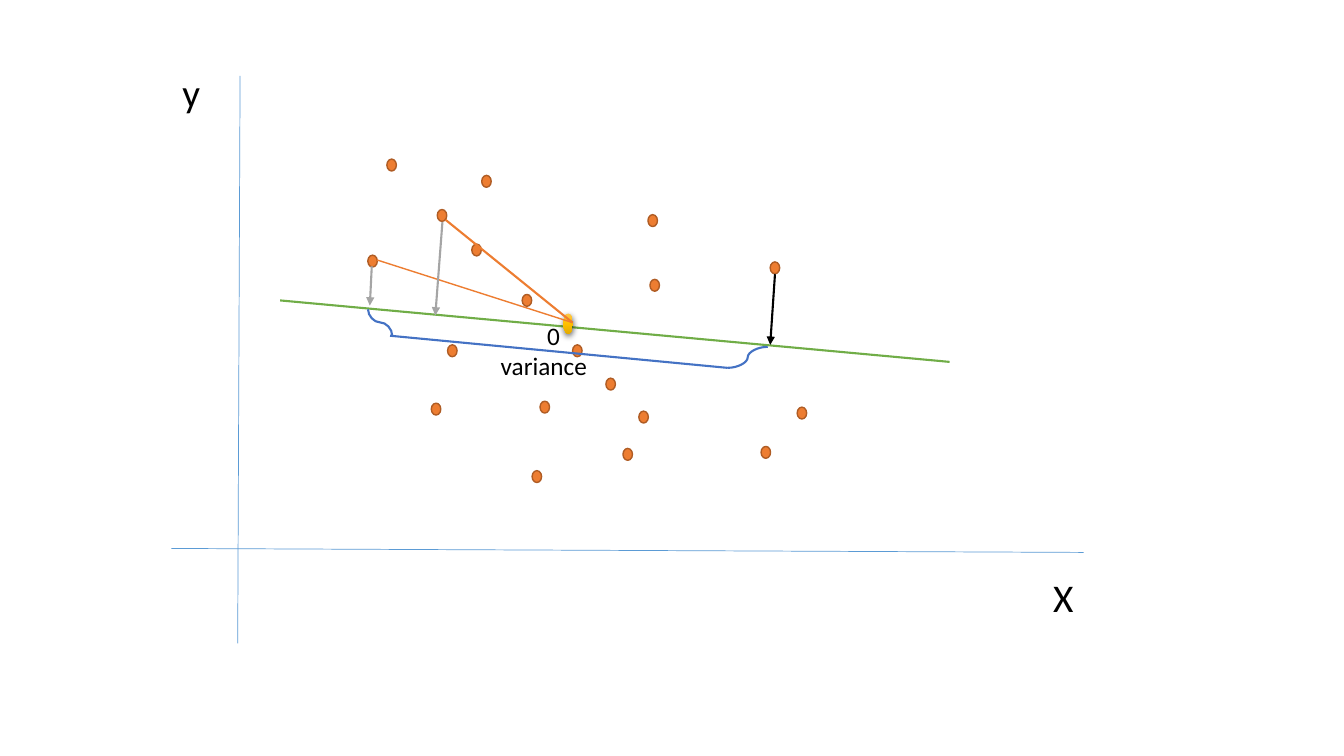
import lxml.etree
import pptx
import pptx.dml.color
import pptx.enum.shapes
import pptx.enum.text
import pptx.oxml
import pptx.oxml.ns
import pptx.util

Cm = pptx.util.Cm
Pt = pptx.util.Pt
RGBColor = pptx.dml.color.RGBColor
MSO_CONNECTOR = pptx.enum.shapes.MSO_CONNECTOR
MSO_SHAPE = pptx.enum.shapes.MSO_SHAPE
qn = pptx.oxml.ns.qn

COLORS = {
    "text": "000000",
    "axis": "5B9BD5",
    "point": "ED7D31",
    "point edge": "AF5C24",
    "component": "70AD47",
    "projection": "A5A5A5",
    "brace": "4472C4",
}
DRAWING_NS = pptx.oxml.ns.nsdecls("a")

presentation = pptx.Presentation()
presentation.slide_width = Cm(33.87)
presentation.slide_height = Cm(19.05)
slide = presentation.slides.add_slide(presentation.slide_layouts[6])


def add_line(start, end, color, width, arrow=False, kind=MSO_CONNECTOR.STRAIGHT):
    connector = slide.shapes.add_connector(
        kind, Cm(start[0]), Cm(start[1]), Cm(end[0]), Cm(end[1]))
    connector.line.color.rgb = RGBColor.from_string(COLORS[color])
    connector.line.width = Pt(width)
    properties = connector._element.spPr
    if arrow:
        tail = lxml.etree.SubElement(properties.find(qn("a:ln")), qn("a:tailEnd"))
        tail.set("type", "triangle")
    lxml.etree.SubElement(properties, qn("a:effectLst"))
    return connector


def add_label(text, left, top, width, height, size):
    box = slide.shapes.add_textbox(Cm(left), Cm(top), Cm(width), Cm(height))
    frame = box.text_frame
    frame.text = text
    frame.word_wrap = False
    frame.auto_size = pptx.enum.text.MSO_AUTO_SIZE.SHAPE_TO_FIT_TEXT
    font = frame.paragraphs[0].runs[0].font
    font.name = "Calibri"
    font.size = Pt(size)
    font.color.rgb = RGBColor.from_string(COLORS["text"])


# Axes
add_label("y", 4.35, 1.6, 1.0, 1.45, 28)
add_line((6.05, 1.91), (5.99, 16.21), "axis", 0.5)
add_line((4.32, 13.82), (27.31, 13.92), "axis", 0.5)

# Data points
points = [
    (9.75, 4.01), (9.27, 6.43), (12.14, 4.42), (11.02, 5.28), (11.28, 8.69),
    (11.89, 6.15), (13.61, 10.11), (16.33, 5.41), (13.16, 7.42), (10.87, 10.16),
    (19.41, 6.6), (14.43, 8.69), (16.38, 7.04), (15.27, 9.53), (15.7, 11.3),
    (16.1, 10.36), (20.09, 10.26), (13.41, 11.86), (19.18, 11.25),
]
for left, top in points:
    point = slide.shapes.add_shape(
        MSO_SHAPE.OVAL, Cm(left), Cm(top), Cm(0.24), Cm(0.3))
    point.shadow.inherit = False
    point.fill.solid()
    point.fill.fore_color.rgb = RGBColor.from_string(COLORS["point"])
    point.line.color.rgb = RGBColor.from_string(COLORS["point edge"])
    point.line.width = Pt(1)

# Component line and x label
add_line((7.06, 7.57), (23.93, 9.12), "component", 1.5)
add_label("X", 26.29, 14.33, 1.04, 1.45, 28)

# Origin with gradient and soft shadow
origin = slide.shapes.add_shape(
    MSO_SHAPE.OVAL, Cm(14.2), Cm(7.9), Cm(0.24), Cm(0.51))
origin.line.fill.background()
stops = "".join(
    f'<a:gs pos="{position}"><a:srgbClr val="{color}"/></a:gs>'
    for position, color in [(0, "FFC64B"), (50000, "FFC000"), (100000, "E3AB00")])
origin_properties = origin._element.spPr
origin_properties.find(qn("a:prstGeom")).addnext(pptx.oxml.parse_xml(
    f'<a:gradFill {DRAWING_NS} rotWithShape="1"><a:gsLst>{stops}</a:gsLst>'
    '<a:lin ang="5400000" scaled="0"/></a:gradFill>'))
origin_properties.append(pptx.oxml.parse_xml(
    f'<a:effectLst {DRAWING_NS}><a:outerShdw blurRad="57150" dist="19050" '
    'dir="5400000" algn="ctr" rotWithShape="0"><a:srgbClr val="000000">'
    '<a:alpha val="63000"/></a:srgbClr></a:outerShdw></a:effectLst>'))
add_label("0", 13.54, 7.95, 0.84, 1.02, 18)

# Distances from points to the origin
add_line((11.23, 5.54), (14.43, 8.13), "point", 1.5)
add_line((9.5, 6.55), (14.43, 8.13), "point", 1)

# Projections onto the component line
add_line((9.37, 6.71), (9.32, 7.7), "projection", 1.5, arrow=True)
add_line((11.15, 5.59), (10.97, 7.95), "projection", 1.5, arrow=True)
add_line((19.53, 6.91), (19.41, 8.69), "text", 1.5, arrow=True)

# Variance brace: its left curve is turned to leave the line vertically
left_curve = add_line((9.91, 7.82), (9.25, 8.43), "brace", 1.5,
                      kind=MSO_CONNECTOR.CURVE)
left_curve._element.spPr.find(qn("a:xfrm")).set("rot", str(270 * 60000))
add_line((19.35, 8.74), (18.34, 9.27), "brace", 1.5, kind=MSO_CONNECTOR.CURVE)
add_line((9.83, 8.46), (18.34, 9.27), "brace", 1.5)
add_label("variance", 12.37, 8.71, 2.72, 1.02, 18)

presentation.save("out.pptx")
